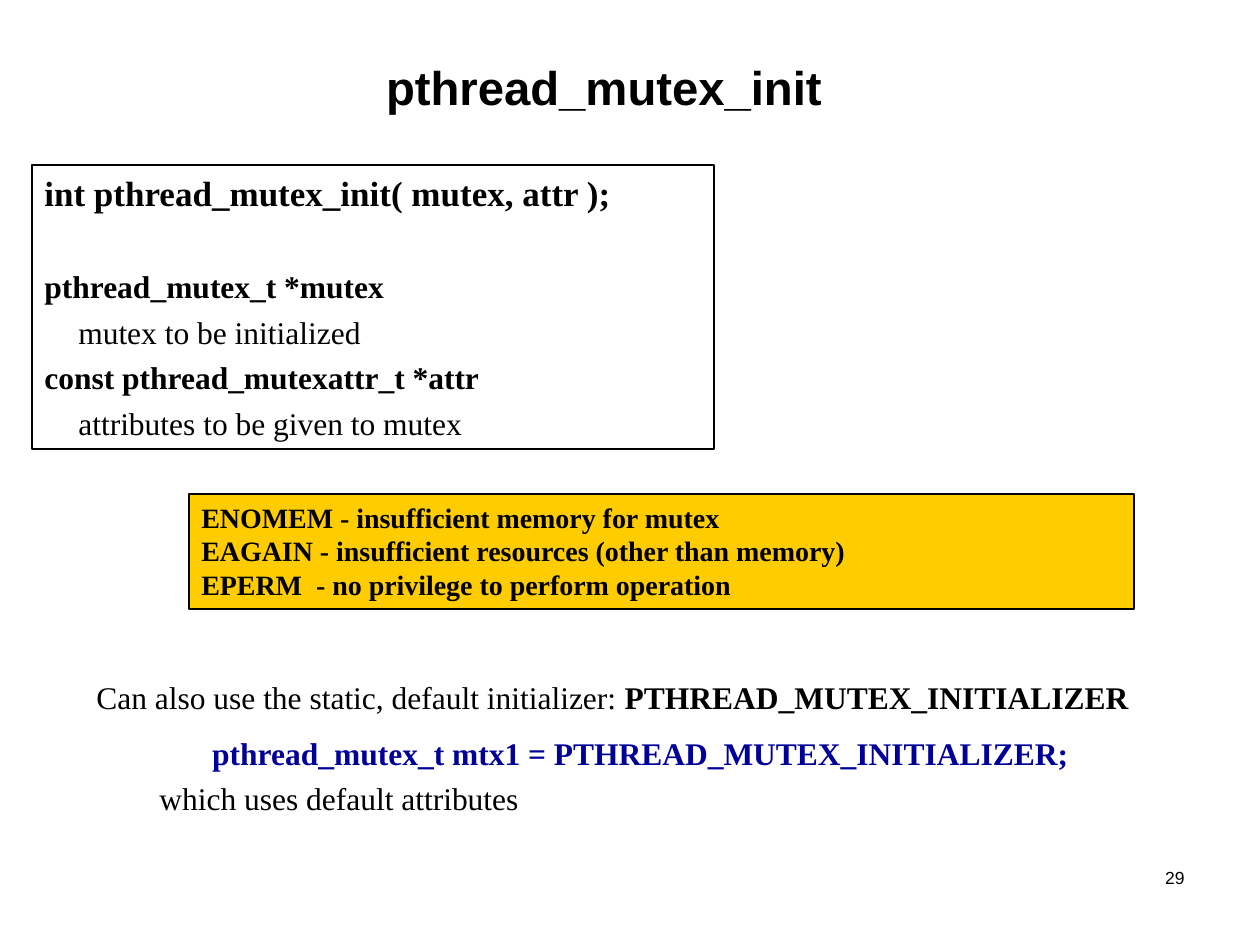
from pptx import Presentation
from pptx.dml.color import RGBColor
from pptx.enum.shapes import MSO_SHAPE
from pptx.enum.text import MSO_ANCHOR, MSO_AUTO_SIZE, PP_ALIGN
from pptx.util import Pt

EMU_PER_PX = 914400 / 126
RECTANGLE = MSO_SHAPE.RECTANGLE
TOP, MIDDLE = MSO_ANCHOR.TOP, MSO_ANCHOR.MIDDLE
NO_AUTOFIT = MSO_AUTO_SIZE.NONE
LEFT, CENTER, RIGHT = PP_ALIGN.LEFT, PP_ALIGN.CENTER, PP_ALIGN.RIGHT
COLORS = {"black": "000000", "white": "FFFFFF", "amber": "FFCC00", "navy": "000099"}
SERIF, SANS = "Times New Roman", "Arial"


def px(*lengths):
    return [round(length * EMU_PER_PX) for length in lengths]


def write(frame, text, size=18, font=SERIF, color="black", bold=False,
          align=LEFT, before=0, indent=0, same_line=False):
    """Add text as a new paragraph, or to the last one if same_line is set."""
    para = frame.paragraphs[-1]
    if not same_line:
        if para.runs:
            para = frame.add_paragraph()
        para.alignment = align
        para.space_before = Pt(before)
        para._p.get_or_add_pPr().set("marL", str(px(indent)[0]))
    span = para.add_run()
    span.text = text
    span.font.name = font
    span.font.size = Pt(size)
    span.font.bold = bold
    span.font.color.rgb = RGBColor.from_string(COLORS[color])


deck = Presentation()
deck.slide_width, deck.slide_height = px(1260, 945)
page = deck.slides.add_slide(deck.slide_layouts[5])

# Title
title = page.shapes.title
title.left, title.top, title.width, title.height = px(305, 53, 598, 67)
title.text_frame.auto_size = NO_AUTOFIT
title.text_frame.vertical_anchor = MIDDLE
write(title.text_frame, "pthread_mutex_init", size=27, font=SANS, bold=True, align=CENTER)

# Framed boxes: function signature and error codes
frames = []
for bounds, fill, line_width in [
    ((32, 165, 682, 284), "white", 0.75),
    ((189, 494, 945, 115), "amber", 1),
]:
    box = page.shapes.add_shape(RECTANGLE, *px(*bounds))
    box.shadow.inherit = False
    box.fill.solid()
    box.fill.fore_color.rgb = RGBColor.from_string(COLORS[fill])
    box.line.color.rgb = RGBColor.from_string(COLORS["black"])
    box.line.width = Pt(line_width)
    box.text_frame.word_wrap = True
    box.text_frame.vertical_anchor = TOP
    frames.append(box.text_frame)
signature, errors = frames

write(signature, "int pthread_mutex_init( mutex, attr );", size=20, bold=True)
for parameter, meaning, gap in [
    ("pthread_mutex_t *mutex", "mutex to be initialized", 31),
    ("const pthread_mutexattr_t *attr", "attributes to be given to mutex", 4.4),
]:
    write(signature, parameter, bold=True, before=gap)
    write(signature, meaning, before=4.4, indent=34)

for error in [
    "ENOMEM - insufficient memory for mutex",
    "EAGAIN - insufficient resources (other than memory)",
    "EPERM  - no privilege to perform operation",
]:
    write(errors, error, size=16, bold=True)

# Static initializer
initializer = page.shapes.add_textbox(*px(84, 672, 1113, 152)).text_frame
initializer.word_wrap = True
write(initializer, "Can also use the static, default initializer: ")
write(initializer, "PTHREAD_MUTEX_INITIALIZER", bold=True, same_line=True)
write(initializer, "pthread_mutex_t mtx1 = PTHREAD_MUTEX_INITIALIZER;",
      color="navy", bold=True, align=CENTER, before=10.2)
write(initializer, "which uses default attributes", before=4.4, indent=63)

# Page number
number = page.shapes.add_textbox(*px(935, 861, 262, 63)).text_frame
number.word_wrap = True
write(number, "29", size=10, font=SANS, align=RIGHT)

deck.save("out.pptx")
